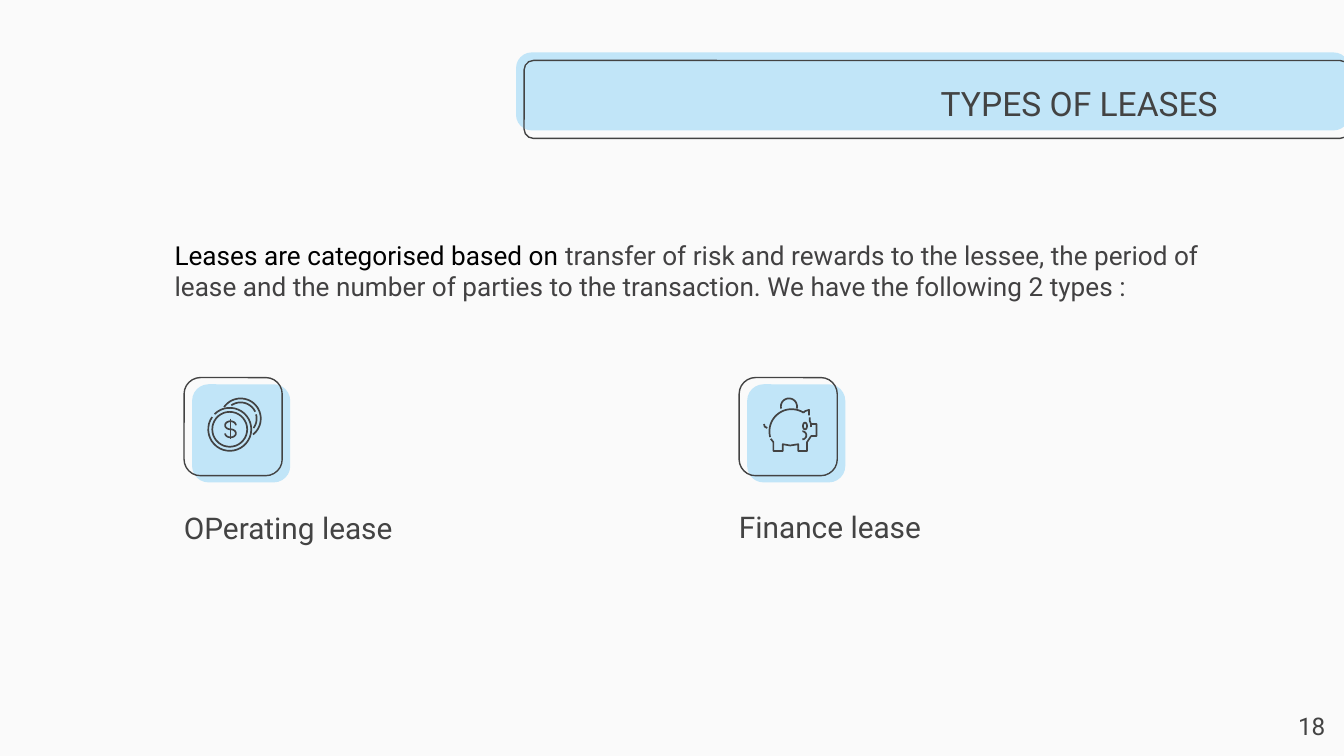
from math import cos, radians, sin

from pptx import Presentation
from pptx.dml.color import RGBColor
from pptx.enum.shapes import MSO_SHAPE
from pptx.enum.text import MSO_ANCHOR, PP_ALIGN
from pptx.util import Inches, Pt

THEME = {
    "font": "Roboto",
    "background": RGBColor.from_string("FAFAFA"),
    "accent": RGBColor.from_string("C1E5F8"),
    "ink": RGBColor.from_string("434343"),
    "body": RGBColor.from_string("424142"),
    "lead": RGBColor.from_string("000000"),
    "title_size": 18,
    "label_size": 16,
    "body_size": 14,
    "number_size": 13,
    "outline": 0.75,
    "stroke": 0.9,
}

presentation = Presentation()
presentation.slide_width = Inches(10)
presentation.slide_height = Inches(5.625)
slide = presentation.slides.add_slide(presentation.slide_layouts[6])
slide.background.fill.solid()
slide.background.fill.fore_color.rgb = THEME["background"]


def style_shape(shape, fill=None, line_width=None):
    shape.shadow.inherit = False
    if fill is None:
        shape.fill.background()
    else:
        shape.fill.solid()
        shape.fill.fore_color.rgb = fill
    if line_width is None:
        shape.line.fill.background()
    else:
        shape.line.color.rgb = THEME["ink"]
        shape.line.width = Pt(line_width)


def add_text(box, runs, size, alignment=PP_ALIGN.LEFT, anchor=MSO_ANCHOR.TOP):
    frame = slide.shapes.add_textbox(*map(Inches, box)).text_frame
    frame_format = {"word_wrap": True, "vertical_anchor": anchor}
    for side in ("left", "top", "right", "bottom"):
        frame_format[f"margin_{side}"] = Inches(0.1)
    for name, value in frame_format.items():
        setattr(frame, name, value)
    paragraph = frame.paragraphs[0]
    paragraph.alignment = alignment
    for text, color in runs:
        run = paragraph.add_run()
        run.text = text
        run.font.name = THEME["font"]
        run.font.size = Pt(size)
        run.font.color.rgb = color


accent = {"fill": THEME["accent"]}
outline = {"line_width": THEME["outline"]}
panels = [
    ((3.84, 0.39, 6.2, 0.58), 0.2, accent),
    ((3.9, 0.45, 6.14, 0.58), 0.12, outline),
]
for tile_left in (1.37, 5.5):
    panels.append(((tile_left + 0.06, 2.86, 0.73, 0.73), 0.167, accent))
    panels.append(((tile_left, 2.81, 0.73, 0.73), 0.167, outline))
for box, corner, look in panels:
    panel = slide.shapes.add_shape(MSO_SHAPE.ROUNDED_RECTANGLE, *map(Inches, box))
    panel.adjustments[0] = corner
    style_shape(panel, **look)

coin_arcs = [
    (1.71, 3.195, 0.16, 0.16, 225, 575),
    (1.71, 3.195, 0.13, 0.13, 0, 360),
    (1.79, 3.115, 0.15, 0.15, 215, 412),
    (1.79, 3.115, 0.12, 0.12, 235, 335),
    (1.79, 3.115, 0.12, 0.12, 345, 396),
    (1.715, 3.165, 0.04, 0.03, 0, -270),
    (1.715, 3.225, 0.04, 0.03, -90, 180),
]
piggy_arcs = [
    (5.89, 3.21, 0.165, 0.165, 165, 303),
    (5.87, 3.025, 0.06, 0.06, 165, 375),
    (5.99, 3.17, 0.015, 0.025, 0, 360),
    (5.97, 3.24, 0.03, 0.03, -90, 90),
]
dollar_bar = [(1.715, 3.115), (1.715, 3.265)]
piggy_ear = [(5.98, 3.07), (5.99, 3.06), (6.02, 3.05), (6.02, 3.09)]
piggy_tail = [(5.685, 3.155), (5.69, 3.175), (5.71, 3.185)]
piggy_nose = [(6.035, 3.18), (6.035, 3.155)]
piggy_belly = [
    (6.025, 3.105), (6.025, 3.13), (6.035, 3.155), (6.075, 3.155),
    (6.075, 3.245), (6.035, 3.245), (6.005, 3.29), (6.005, 3.355),
    (5.94, 3.355), (5.94, 3.305), (5.88, 3.315), (5.825, 3.305),
    (5.825, 3.355), (5.755, 3.355), (5.755, 3.29), (5.735, 3.265),
]

strokes = [dollar_bar, piggy_ear, piggy_tail, piggy_nose, piggy_belly]
steps = 36
for center_x, center_y, radius_x, radius_y, start, end in coin_arcs + piggy_arcs:
    angles = [radians(start + (end - start) * step / steps) for step in range(steps + 1)]
    strokes.append([
        (center_x + radius_x * cos(angle), center_y + radius_y * sin(angle))
        for angle in angles
    ])
for stroke in strokes:
    points = [(Inches(x), Inches(y)) for x, y in stroke]
    builder = slide.shapes.build_freeform(*points[0])
    builder.add_line_segments(points[1:], close=False)
    style_shape(builder.convert_to_shape(), line_width=THEME["stroke"])

for label, left, top in (("OPerating lease", 1.27, 3.74), ("Finance lease", 5.4, 3.73)):
    add_text((left, top, 2.78, 0.42), [(label, THEME["ink"])],
             THEME["label_size"], anchor=MSO_ANCHOR.BOTTOM)

add_text((5.67, 0.5, 3.49, 0.53), [("TYPES OF LEASES", THEME["ink"])],
         THEME["title_size"], PP_ALIGN.RIGHT, MSO_ANCHOR.MIDDLE)
add_text(
    (1.2, 1.68, 8.25, 0.68),
    [
        ("Leases are categorised based on ", THEME["lead"]),
        ("transfer of risk and rewards to the lessee, the period of lease and "
         "the number of parties to the transaction. We have the following 2 types :",
         THEME["body"]),
    ],
    THEME["body_size"],
)
add_text((9.36, 5.19, 0.6, 0.43), [("18", THEME["ink"])],
         THEME["number_size"], PP_ALIGN.RIGHT)

presentation.save("out.pptx")
